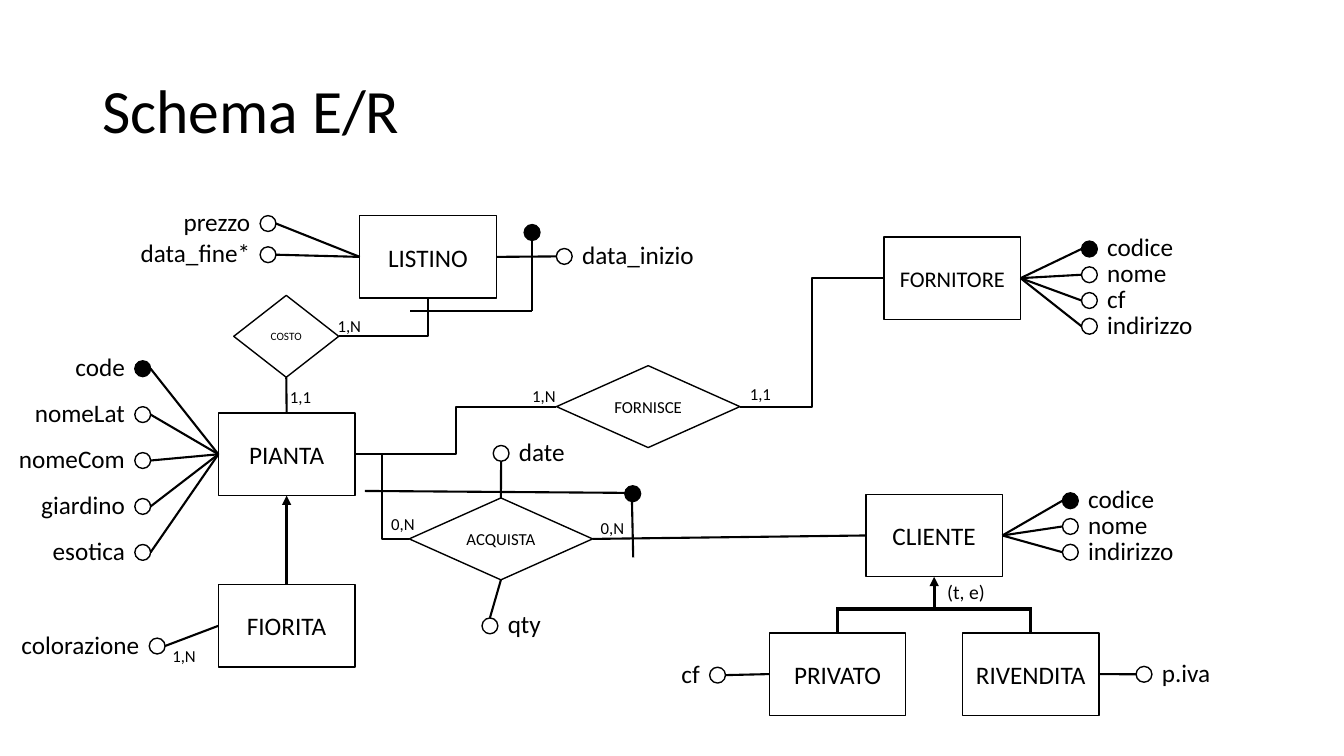
from pptx import Presentation
from pptx.dml.color import RGBColor
from pptx.enum.shapes import MSO_CONNECTOR, MSO_SHAPE
from pptx.enum.text import MSO_ANCHOR, PP_ALIGN
from pptx.oxml.ns import qn
from pptx.util import Pt
from lxml import etree

LINE, ELBOW = MSO_CONNECTOR.STRAIGHT, MSO_CONNECTOR.ELBOW
RECT, DIAMOND, OVAL = MSO_SHAPE.RECTANGLE, MSO_SHAPE.DIAMOND, MSO_SHAPE.OVAL
MIDDLE, TOP = MSO_ANCHOR.MIDDLE, MSO_ANCHOR.TOP
LEFT, CENTER, RIGHT = PP_ALIGN.LEFT, PP_ALIGN.CENTER, PP_ALIGN.RIGHT
BLACK, WHITE = "000000", "FFFFFF"
FONT = "Calibri"
# Connection sites of rectangles and diamonds
UP, WEST, DOWN, EAST = range(4)
WIDE, HIGH = 97.5, 59
DOT = 11.3


def color(code):
    return RGBColor.from_string(code)


def write(shape, text, size, align=LEFT, anchor=TOP):
    frame = shape.text_frame
    frame.word_wrap = True
    frame.vertical_anchor = anchor
    frame.text = text
    para = frame.paragraphs[0]
    para.alignment = align
    font = para.runs[0].font
    font.name, font.size = FONT, Pt(size)
    font.color.rgb = color(BLACK)


def shape(shapes, kind, x, y, w, h, fill=WHITE):
    item = shapes.add_shape(kind, Pt(x), Pt(y), Pt(w), Pt(h))
    item.shadow.inherit = False
    item.fill.solid()
    item.fill.fore_color.rgb = color(fill)
    item.line.color.rgb = color(BLACK)
    item.line.width = Pt(1)
    return item


def label(shapes, text, x, y, w, h, size, align=LEFT, anchor=TOP):
    item = shapes.add_textbox(Pt(x), Pt(y), Pt(w), Pt(h))
    write(item, text, size, align, anchor)
    return item


def count(slide, text, x, y):
    label(slide.shapes, text, x, y, 32, 21.8, 12)


def node(slide, kind, text, x, y, w=WIDE, h=HIGH, size=18):
    item = shape(slide.shapes, kind, x, y, w, h)
    frame = item.text_frame
    frame.margin_left = frame.margin_right = 0
    write(item, text, size, CENTER, MIDDLE)
    return item


def join(slide, start, end, width=1.5, kind=LINE, arrow=False):
    """Each end is an (x, y) point or a (shape, site) pair."""
    link = slide.shapes.add_connector(kind, 0, 0, 0, 0)
    if isinstance(start[0], (int, float)):
        link.begin_x, link.begin_y = Pt(start[0]), Pt(start[1])
    else:
        link.begin_connect(*start)
    if isinstance(end[0], (int, float)):
        link.end_x, link.end_y = Pt(end[0]), Pt(end[1])
    else:
        link.end_connect(*end)
    link.line.color.rgb = color(BLACK)
    link.line.width = Pt(width)
    if arrow:
        tail = etree.SubElement(link.line._get_or_add_ln(), qn("a:tailEnd"))
        tail.set("type", "triangle")
    etree.SubElement(link._element.spPr, qn("a:effectLst"))
    return link


def field(slide, owner, site, text, x, y, key=False):
    """Attribute dot with its label, tied to one side of its owner."""
    group = slide.shapes.add_group_shape().shapes
    shape(group, OVAL, x, y, DOT, DOT, BLACK if key else WHITE)
    if site == WEST:
        label(group, text, x - 109, y - 10.2, 109, 29, 18, RIGHT)
    else:
        label(group, text, x + DOT, y - 10.2, 98, 29, 18)
    half = DOT / 2
    edge = {UP: (x + half, y + DOT), WEST: (x + DOT, y + half),
            DOWN: (x + half, y), EAST: (x, y + half)}[site]
    join(slide, edge, (owner, site))


def fields(slide, owner, site, names, x, y, step, key=None):
    for i, name in enumerate(names):
        field(slide, owner, site, name, x, y + i * step, name == key)


def title(slide, x, y, w, h):
    item = label(slide.shapes, "Schema E/R", x, y, w, h, 44, anchor=MIDDLE)
    item.text_frame.paragraphs[0].line_spacing = 0.9


def plant(slide, x, y):
    base = node(slide, RECT, "PIANTA", x, y)
    names = ("code", "nomeLat", "nomeCom", "giardino", "esotica")
    fields(slide, base, WEST, names, x - 59.7, y - 37.3, 32.8, "code")
    bloom = node(slide, RECT, "FIORITA", x, y + 122.5)
    join(slide, (bloom, UP), (base, DOWN), 2.25, arrow=True)
    field(slide, bloom, WEST, "colorazione", x - 49.4, y + 160.8)
    count(slide, "1,N", x - 40, y + 163)
    return base


def price(slide, x, y, base):
    rate = node(slide, RECT, "LISTINO", x, y)
    cost = node(slide, DIAMOND, "COSTO", x - 90, y + 57, 75, 58.5, 8)
    fields(slide, rate, WEST, ("prezzo", "data_fine*"), x - 71.2, y, 22.3)
    field(slide, rate, EAST, "data_inizio", x + 140.4, y + 23.5)
    join(slide, (base, UP), (cost, DOWN))
    bend = join(slide, (cost, EAST), (rate, DOWN), kind=ELBOW)
    bend._element.spPr.find(qn("a:prstGeom")).set("prst", "bentConnector2")
    count(slide, "1,1", x - 57, y + 119)
    count(slide, "1,N", x - 23, y + 68)
    # Compound key
    shape(slide.shapes, OVAL, x + 117.4, y + 6.4, DOT, DOT, BLACK)
    join(slide, (x + 36, y + 68), (x + 123, y + 68))
    join(slide, (x + 123, y + 15), (x + 123, y + 68))


def supply(slide, x, y, base):
    firm = node(slide, RECT, "FORNITORE", x, y, size=16)
    names = ("codice", "nome", "cf", "indirizzo")
    fields(slide, firm, EAST, names, x + 141, y + 3, 18.4, "codice")
    deal = node(slide, DIAMOND, "FORNISCE", x - 234, y + 92, 131, 58.5, 12)
    join(slide, (deal, WEST), (base, EAST), kind=ELBOW)
    join(slide, (firm, WEST), (deal, EAST), kind=ELBOW)
    count(slide, "1,1", x - 103, y + 101.5)
    count(slide, "1,N", x - 258.5, y + 103)


def client(slide, x, y):
    buyer = node(slide, RECT, "CLIENTE", x, y)
    names = ("codice", "nome", "indirizzo")
    fields(slide, buyer, EAST, names, x + 140.4, y - 1, 18.4, "codice")
    person = node(slide, RECT, "PRIVATO", x - 69, y + 99)
    store = node(slide, RECT, "RIVENDITA", x + 69, y + 99)
    field(slide, person, WEST, "cf", x - 111.6, y + 123.6)
    field(slide, store, EAST, "p.iva", x + 193, y + 123)
    # Generalisation fork
    mid, bar = x + WIDE / 2, y + 82
    for child, side in ((person, -69), (store, 69)):
        join(slide, (mid + side, bar), (child, UP), 2.25)
    join(slide, (mid - 70, bar), (mid + 70, bar), 2.25)
    join(slide, (mid, bar), (buyer, DOWN), 2.25, arrow=True)
    label(slide.shapes, "(t, e)", x + 51, y + 58, 59, 24.2, 14)
    return buyer


def order(slide, x, y, base, buyer):
    sale = node(slide, DIAMOND, "ACQUISTA", x, y, 131, 58.5, 12)
    field(slide, sale, UP, "date", x + 60, y - 37.5)
    field(slide, sale, DOWN, "qty", x + 52, y + 85.7)
    join(slide, (sale, WEST), (base, EAST), kind=ELBOW)
    join(slide, (sale, EAST), (buyer, WEST))
    count(slide, "0,N", x - 20, y + 8)
    count(slide, "0,N", x + 129.6, y + 10.8)
    # Compound key
    shape(slide.shapes, OVAL, x + 154, y - 8.7, DOT, DOT, BLACK)
    join(slide, (x - 31.7, y - 5), (x + 160.6, y - 3.6))
    join(slide, (x + 159, y - 3.6), (x + 160, y + 42.5))


def main():
    deck = Presentation()
    deck.slide_width, deck.slide_height = Pt(960), Pt(540)
    slide = deck.slides.add_slide(deck.slide_layouts[6])
    title(slide, 66, 28.8, 828, 104.4)
    base = plant(slide, 156, 295)
    price(slide, 257, 154, base)
    supply(slide, 631.5, 169.2, base)
    buyer = client(slide, 618.5, 353)
    order(slide, 292.3, 355.7, base, buyer)
    deck.save("out.pptx")


if __name__ == "__main__":
    main()
